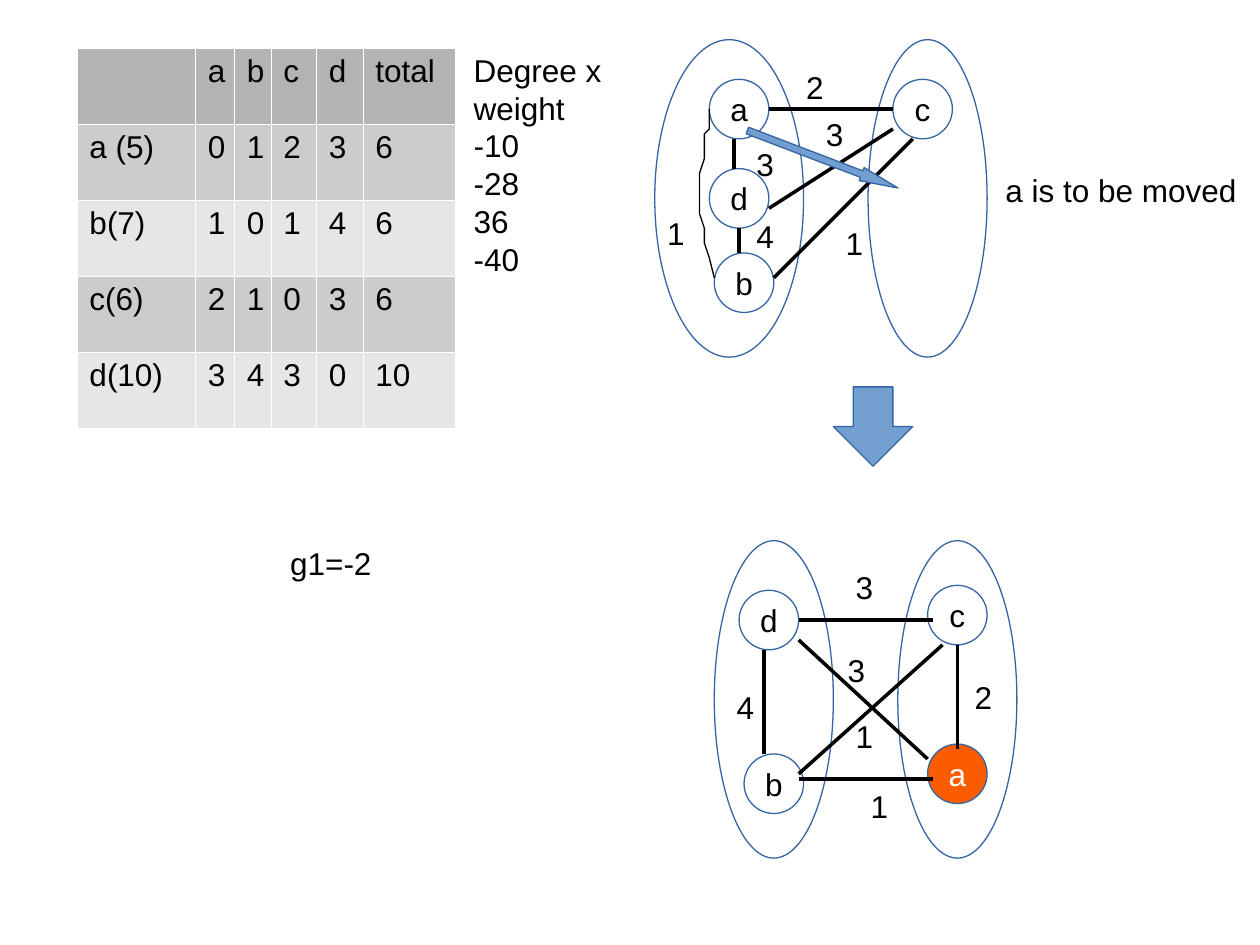
from lxml import etree
from pptx import Presentation, util as u
from pptx.dml.color import RGBColor
from pptx.enum import shapes, text
from pptx.oxml import ns

BLACK = RGBColor(0x00, 0x00, 0x00)
WHITE = RGBColor(0xFF, 0xFF, 0xFF)
BLUE = RGBColor(0x72, 0x9F, 0xCF)
OUTLINE = RGBColor(0x34, 0x65, 0xA4)
ORANGE = RGBColor(0xFC, 0x5C, 0x00)
HEADER = RGBColor(0xB3, 0xB3, 0xB3)
BANDS = RGBColor(0xCC, 0xCC, 0xCC), RGBColor(0xE6, 0xE6, 0xE6)

SHAPE = shapes.MSO_SHAPE
CELL = u.Mm(1)  # the page is a grid of 1 mm columns and rows
NODE = 12       # node diameter in grid cells


def grid(*lengths):
    return [round(length * CELL) for length in lengths]


def format_text(frame, color=BLACK):
    for para in frame.paragraphs:
        for span in para.runs:
            span.font.name = "Arial"
            span.font.size = u.Pt(18)
            span.font.color.rgb = color


def add_text(page, box, words):
    frame = page.shapes.add_textbox(*grid(*box)).text_frame
    frame.word_wrap = True
    frame.text = words
    format_text(frame)


def add_outlined(page, kind, box, fill=None):
    shape = page.shapes.add_shape(kind, *grid(*box))
    shape.shadow.inherit = False
    if fill is None:
        shape.fill.background()
    else:
        shape.fill.solid()
        shape.fill.fore_color.rgb = fill
    shape.line.color.rgb = OUTLINE
    shape.line.width = u.Pt(0)
    return shape


def add_node(page, left, top, name, fill, color):
    frame = add_outlined(page, SHAPE.OVAL, (left, top, NODE, NODE), fill).text_frame
    frame.word_wrap = False
    frame.vertical_anchor = text.MSO_ANCHOR.MIDDLE
    frame.text = name
    frame.paragraphs[0].alignment = text.PP_ALIGN.CENTER
    format_text(frame, color)


def add_edge(page, start, end):
    edge = page.shapes.add_connector(shapes.MSO_CONNECTOR.STRAIGHT, *grid(*start, *end))
    edge.line.color.rgb = BLACK
    edge.line.width = u.Pt(0)
    etree.SubElement(edge._element.spPr, ns.qn("a:effectLst"))


def bezier(points, steps=16):
    """Sample one cubic curve, leaving out its start point."""
    for step in range(1, steps + 1):
        t = step / steps
        weights = (1 - t) ** 3, 3 * t * (1 - t) ** 2, 3 * t * t * (1 - t), t ** 3
        yield tuple(sum(w * p[axis] for w, p in zip(weights, points)) for axis in (0, 1))


def add_curve(page, box, points):
    left, top = box[:2]
    points = [(left + x, top + y) for x, y in points]
    builder = page.shapes.build_freeform(*points[0], scale=CELL)
    samples = [p for i in range(0, len(points) - 1, 3) for p in bezier(points[i:i + 4])]
    builder.add_line_segments(samples, close=False)
    curve = builder.convert_to_shape()
    curve.shadow.inherit = False
    curve.fill.background()
    curve.line.color.rgb = BLACK
    curve.line.width = u.Pt(0)


def draw_graph(page, box, nodes, group_widths, edges, labels, moved=None):
    """Two partitions at the sides of the box, with nodes, edges and weights."""
    left, top, width, height = box
    for name, (x, y) in nodes.items():
        fill, color = (ORANGE, WHITE) if name == moved else (WHITE, BLACK)
        add_node(page, left + x, top + y, name, fill, color)
    first, second = group_widths
    for x, span in ((0, first), (width - second, second)):
        add_outlined(page, SHAPE.OVAL, (left + x, top, span, height))
    for x1, y1, x2, y2 in edges:
        add_edge(page, (left + x1, top + y1), (left + x2, top + y2))
    for weight, x, y in labels:
        add_text(page, (left + x, top + y, 8, 9.7), weight)


def draw_table(page, box, widths, rows):
    left, top, width, height = box
    table = page.shapes.add_table(len(rows), len(widths), *grid(*box)).table
    for column, share in zip(table.columns, widths):
        column.width = grid(width * share / sum(widths))[0]
    for r, row in enumerate(rows):
        table.rows[r].height = grid(height / len(rows))[0]
        for c, words in enumerate(row):
            cell = table.cell(r, c)
            cell.text = words
            format_text(cell.text_frame)
            # White hairline borders come before the fill
            properties = cell._tc.get_or_add_tcPr()
            for side in ("lnL", "lnR", "lnT", "lnB"):
                line = etree.SubElement(properties, ns.qn("a:" + side), w="720")
                solid = etree.SubElement(line, ns.qn("a:solidFill"))
                etree.SubElement(solid, ns.qn("a:srgbClr"), val=str(WHITE))
            cell.fill.solid()
            cell.fill.fore_color.rgb = BANDS[(r - 1) % 2] if r else HEADER


def main():
    deck = Presentation()
    deck.slide_width, deck.slide_height = u.Inches(10), u.Inches(7.5)
    page = deck.slides.add_slide(deck.slide_layouts[6])

    # Connection weights and gains
    add_text(page, (56, 108.5, 30, 9.7), "g1=-2")
    draw_table(page, (15.5, 9.7, 76.2, 76.5), (94, 31, 29, 36, 37, 73), [
        ("", "a", "b", "c", "d", "total"),
        ("a (5)", "0", "1", "2", "3", "6"),
        ("b(7)", "1", "0", "1", "4", "6"),
        ("c(6)", "2", "1", "0", "3", "6"),
        ("d(10)", "3", "4", "3", "0", "10"),
    ])
    add_text(page, (93, 9, 37, 77), "Degree x weight\n-10\n-28\n36\n-40")

    # Partition before the move
    before = (132, 8, 67, 64)
    draw_graph(
        page, before,
        {"a": (11, 8), "b": (12, 43), "c": (48, 8), "d": (11, 26)}, (30, 24),
        [(23, 14, 48, 14), (48, 18, 23, 34), (52, 20, 24, 48),
         (16, 20, 16, 26), (17, 38, 17, 43)],
        [("2", 28, 4.5), ("1", 0, 34), ("3", 18, 20),
         ("1", 36, 36), ("3", 32, 14), ("4", 18, 34.5)])
    add_curve(page, before, [(12, 48), (6, 28), (12, 16), (11, 16),
                             (10, 16), (11, 14), (11, 14)])

    # Partition after the move
    draw_graph(
        page, (144, 109, 61, 64),
        {"a": (43, 41), "b": (6, 43), "c": (43, 9), "d": (5, 10)}, (24, 24),
        [(17, 48, 44, 48), (17, 16, 44, 16), (10, 22, 10, 43),
         (49, 21, 49, 42), (17, 20, 43, 44), (17, 47, 46, 21)],
        [("2", 50, 26.4), ("1", 29, 48.5), ("3", 24.4, 21),
         ("1", 26, 34.3), ("3", 26, 4.3), ("4", 2, 28.4)],
        moved="a")

    # Step arrow, remark and move arrow
    add_outlined(page, SHAPE.DOWN_ARROW, (168, 78, 16, 16), BLUE)
    add_text(page, (200.2, 33.3, 53.8, 9.7), "a is to be moved")
    move = add_outlined(page, SHAPE.RIGHT_ARROW, (149.6, 30.7, 32.5, 2.8), BLUE)
    move.adjustments[1] = 2.8
    move.rotation = 20.9

    deck.save("out.pptx")


if __name__ == "__main__":
    main()
